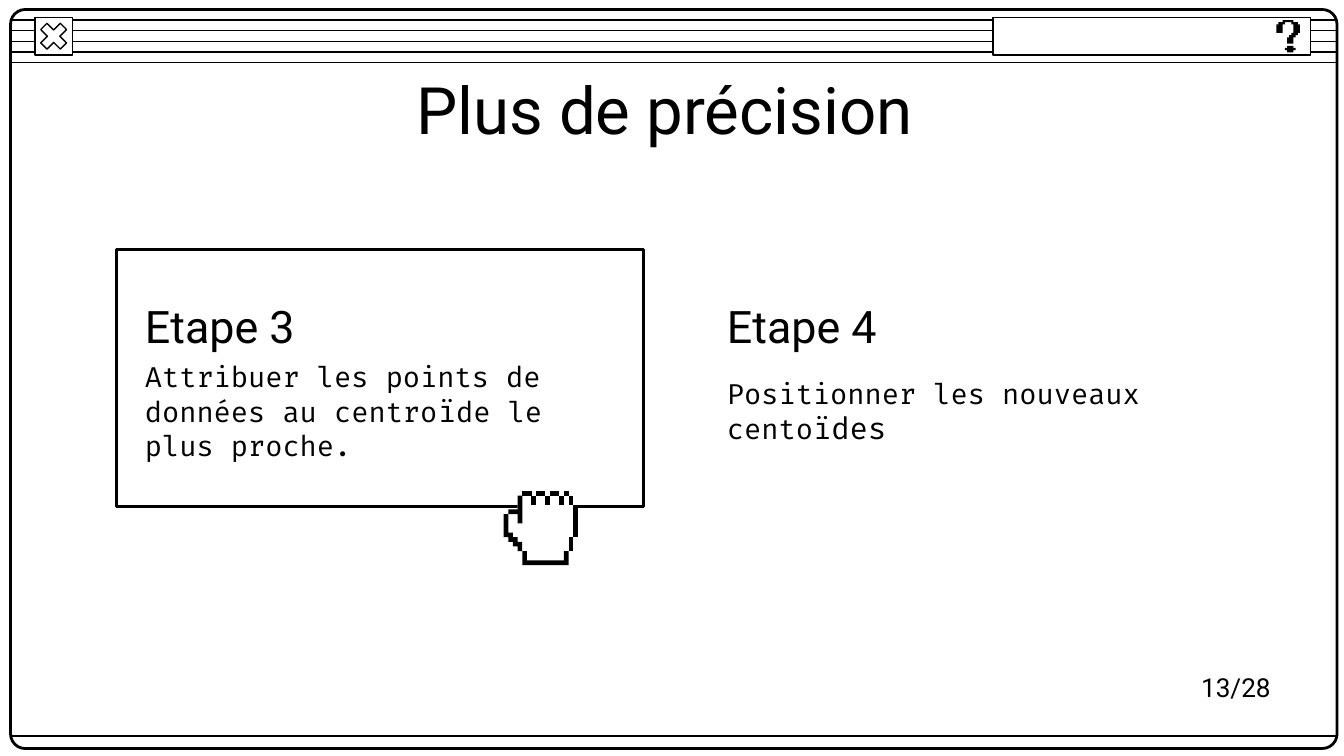
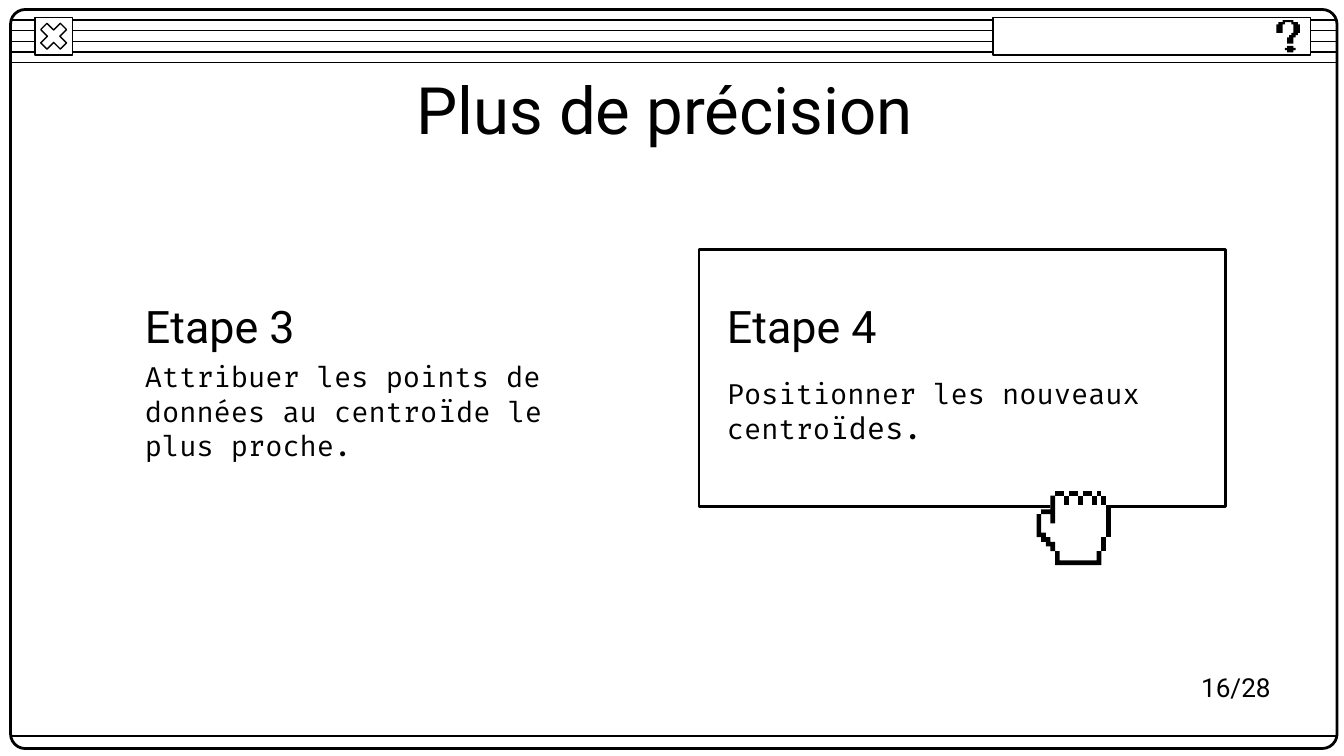
from dataclasses import dataclass

from lxml import etree
from pptx import Presentation
from pptx.dml.color import RGBColor
from pptx.enum.shapes import MSO_CONNECTOR, MSO_SHAPE
from pptx.enum.text import MSO_ANCHOR, PP_ALIGN
from pptx.oxml.ns import qn
from pptx.util import Cm, Pt

RECTANGLE = MSO_SHAPE.RECTANGLE
ROUNDED = MSO_SHAPE.ROUNDED_RECTANGLE
CROSS = MSO_SHAPE.MATH_MULTIPLY
STRAIGHT = MSO_CONNECTOR.STRAIGHT
MIDDLE = MSO_ANCHOR.MIDDLE
LEFT, CENTER = PP_ALIGN.LEFT, PP_ALIGN.CENTER


@dataclass(frozen=True)
class Theme:
    ink: RGBColor = RGBColor(0, 0, 0)
    paper: RGBColor = RGBColor(255, 255, 255)
    sans: str = "Roboto"
    mono: str = "Fira Code"
    title: int = 35
    heading: int = 24
    body: int = 15
    accent: int = 16
    number: int = 14
    thin: float = 0.75
    thick: float = 1.5


theme = Theme()

QUESTION_MARK = [
    [(5, 12), (5, 13), (4, 13), (4, 14), (5, 14), (5, 15), (8, 15), (8, 14),
     (9, 14), (9, 13), (8, 13), (8, 12)],
    [(3, 0), (3, 1), (1, 1), (1, 2), (0, 2), (0, 6), (3, 6), (3, 2), (4, 2),
     (4, 1), (7, 1), (7, 2), (8, 2), (8, 6), (7, 6), (7, 7), (6, 7), (6, 8),
     (5, 8), (5, 11), (8, 11), (8, 8), (9, 8), (9, 7), (10, 7), (10, 6),
     (11, 6), (11, 2), (10, 2), (10, 1), (8, 1), (8, 0)],
]

HAND_FILL = [
    (4, 0), (4, 1), (3, 1), (3, 4), (1, 4), (1, 5), (0, 5), (0, 10), (1, 10),
    (1, 11), (2, 11), (2, 12), (3, 12), (3, 13), (4, 13), (4, 16), (14, 16),
    (14, 13), (15, 13), (15, 10), (16, 10), (16, 3), (15, 3), (15, 1), (14, 1),
    (14, 0), (13, 0), (13, 1), (12, 1), (12, 0), (10, 0), (10, 1), (9, 1),
    (9, 0), (7, 0), (7, 1), (6, 1), (6, 0),
]
HAND_BARS = [
    (14, 1, 15, 3), (12, 1, 13, 3), (9, 1, 10, 3), (15, 3, 16, 10),
    (14, 10, 15, 13), (6, 1, 7, 3), (4, 0, 6, 1), (7, 0, 9, 1),
    (10, 0, 12, 1), (13, 0, 14, 1),
]
HAND_EDGES = [
    [(4, 13), (4, 16), (14, 16), (14, 13), (13, 13), (13, 15), (5, 15), (5, 13)],
    [(3, 1), (3, 4), (1, 4), (1, 5), (3, 5), (3, 7), (4, 7), (4, 1)],
    [(0, 5), (0, 10), (1, 10), (1, 11), (2, 11), (2, 12), (3, 12), (3, 13),
     (4, 13), (4, 11), (3, 11), (3, 10), (2, 10), (2, 9), (1, 9), (1, 5)],
] + [[(x1, y1), (x1, y2), (x2, y2), (x2, y1)] for x1, y1, x2, y2 in HAND_BARS]

STEPS = ["Etape 3", "Etape 4"]
ASSIGN = [("Attribuer les points de données au centro", theme.body),
          ("ï", theme.accent), ("de le plus proche.", theme.body)]
PAGES = [
    {"number": "13/28", "active": 0, "hand": 9.52,
     "move": [("Positionner les nouveaux cento", theme.body), ("ïdes", theme.accent)]},
    {"number": "16/28", "active": 1, "hand": 19.59,
     "move": [("Positionner les nouveaux centro", theme.body), ("ïdes.", theme.accent)]},
]
STEP_PITCH = 11


def write(page, text, *, at, size=theme.body, font=theme.sans, align=LEFT):
    box = page.shapes.add_textbox(*map(Cm, at))
    frame = box.text_frame
    frame.word_wrap = True
    frame.vertical_anchor = MIDDLE
    frame.margin_left = frame.margin_right = Cm(0.25)
    frame.margin_top = frame.margin_bottom = Cm(0.25)
    para = frame.paragraphs[0]
    para.alignment = align
    for words, points in [(text, size)] if isinstance(text, str) else text:
        span = para.add_run()
        span.text = words
        span.font.size = Pt(points)
        span.font.name = font
        span.font.color.rgb = theme.ink


def draw_pixels(page, outlines, *, left, top, unit, color=theme.ink):
    for outline in outlines:
        builder = page.shapes.build_freeform(*outline[0], scale=unit)
        builder.add_line_segments(outline[1:], close=True)
        pixels = builder.convert_to_shape(Cm(left), Cm(top))
        pixels.shadow.inherit = False
        pixels.fill.solid()
        pixels.fill.fore_color.rgb = color
        pixels.line.fill.background()


deck = Presentation()
deck.slide_width, deck.slide_height = Cm(25.4), Cm(14.29)

for content in PAGES:
    page = deck.slides.add_slide(deck.slide_layouts[6])
    page.background.fill.solid()
    page.background.fill.fore_color.rgb = theme.paper

    for height in [0.38 + 0.2 * row for row in range(5)] + [13.91]:
        rule = page.shapes.add_connector(
            STRAIGHT, Cm(0.21), Cm(height), Cm(25.27), Cm(height))
        rule.line.color.rgb = theme.ink
        rule.line.width = Pt(theme.thin)
        etree.SubElement(rule._element.spPr, qn("a:effectLst"))

    card_left = 2.21 + STEP_PITCH * content["active"]
    for kind, at, fill, weight, adjustment in [
        (ROUNDED, (0.2, 0.18, 25.07, 13.97), None, theme.thick, 0.02),
        (RECTANGLE, (0.66, 0.33, 0.71, 0.71), theme.paper, theme.thin, None),
        (CROSS, (0.66, 0.33, 0.71, 0.71), theme.paper, theme.thin, 0.235),
        (RECTANGLE, (18.77, 0.33, 6, 0.71), theme.paper, theme.thin, None),
        (RECTANGLE, (card_left, 4.72, 9.96, 4.85), None, theme.thick, None),
    ]:
        shape = page.shapes.add_shape(kind, *map(Cm, at))
        shape.shadow.inherit = False
        shape.line.color.rgb = theme.ink
        shape.line.width = Pt(weight)
        if fill is None:
            shape.fill.background()
        else:
            shape.fill.solid()
            shape.fill.fore_color.rgb = fill
        if adjustment is not None:
            shape.adjustments[0] = adjustment

    draw_pixels(page, QUESTION_MARK, left=24.12, top=0.38, unit=Cm(0.61) / 15)

    write(page, "Plus de précision ", at=(2.01, 1.24, 21.41, 1.6),
          size=theme.title, align=CENTER)
    for column, (heading, body) in enumerate(zip(STEPS, [ASSIGN, content["move"]])):
        left = 2.49 + STEP_PITCH * column
        write(page, heading, at=(left, 5.54, 9.42, 1.24), size=theme.heading)
        write(page, body, at=(left, 6.78, 9.42, 1.98), font=theme.mono)

    for outlines, color in [([HAND_FILL], theme.paper), (HAND_EDGES, theme.ink)]:
        draw_pixels(page, outlines, left=content["hand"], top=9.28,
                    unit=Cm(1.4) / 16, color=color)

    write(page, content["number"], at=(22.45, 12.55, 1.93, 0.86), size=theme.number)

deck.save("out.pptx")
